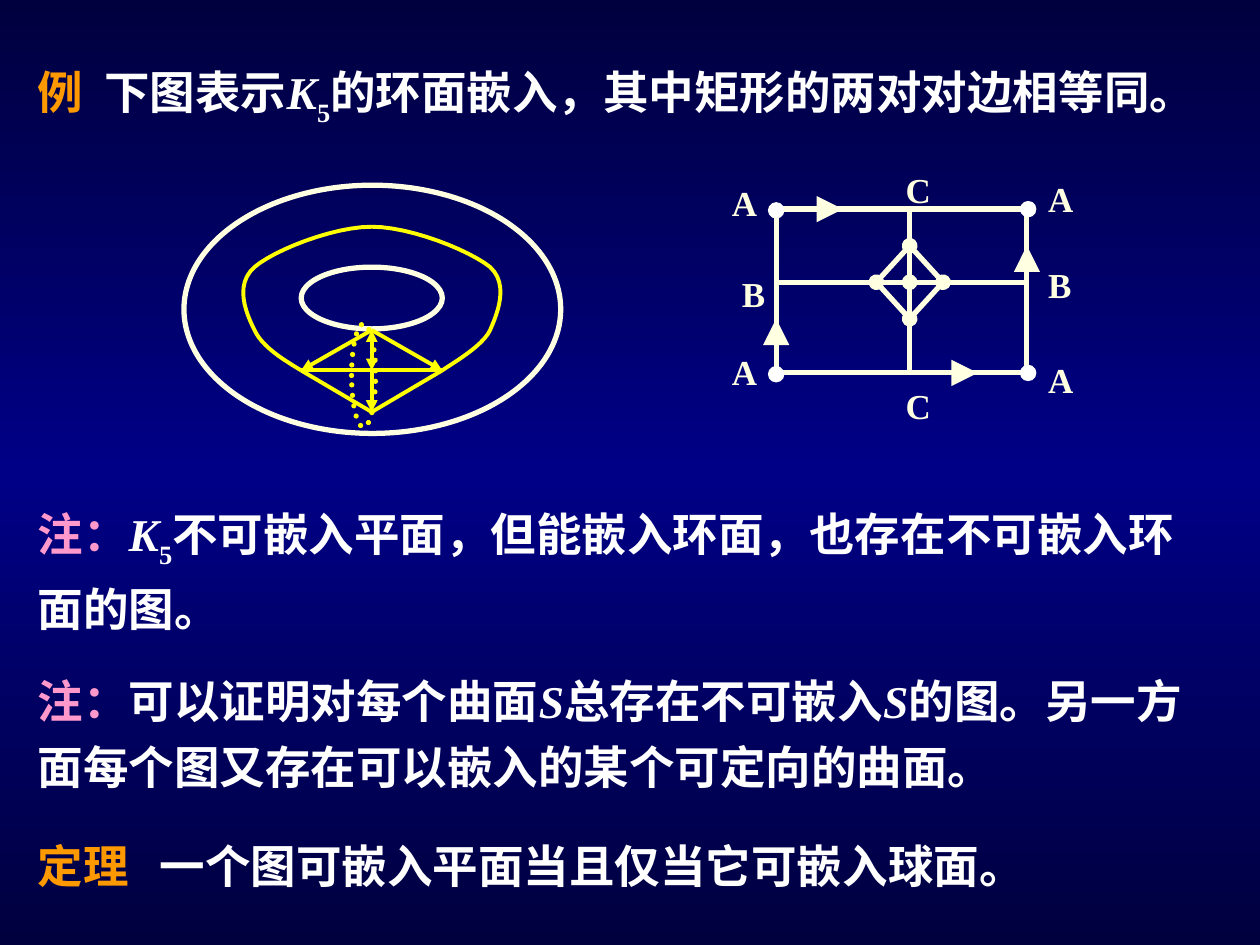
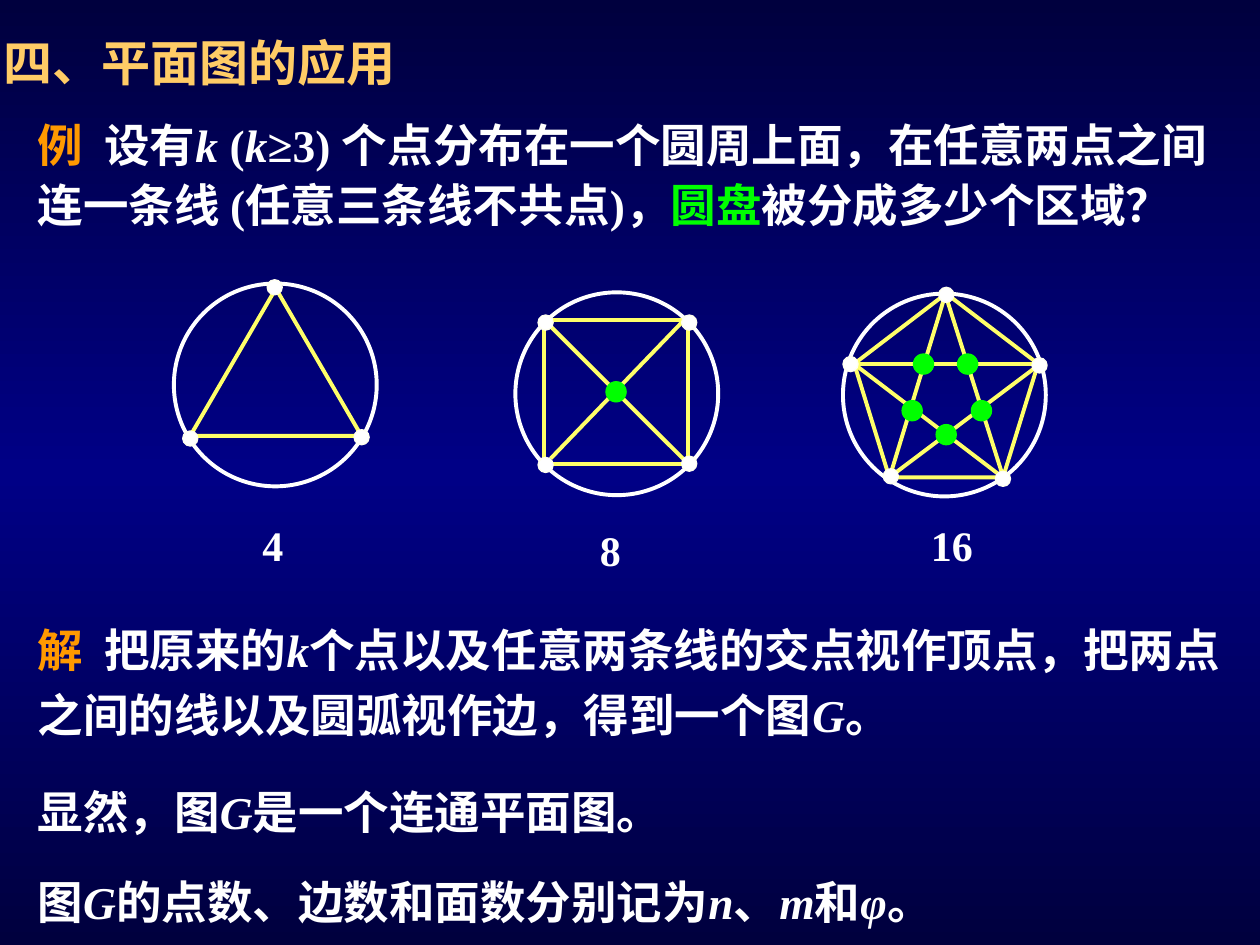
import copy
import pptx
import pptx.util
import pptx.dml.color
import pptx.enum.dml
import pptx.enum.shapes
import pptx.enum.text
import pptx.oxml.ns
from lxml import etree

IN = pptx.util.Inches
SHAPE = pptx.enum.shapes.MSO_SHAPE
ALIGN = pptx.enum.text.PP_ALIGN
WIDTH, HEIGHT = 10, 7.5
LEFT = 0.02 * WIDTH

COLORS = {
    "edge": "00003E", "middle": "000086", "white": "FFFFFF", "cream": "FFFFE1",
    "ivory": "FFFFEE", "yellow": "FFFF00", "chord": "FFFF69", "green": "00FF00",
    "orange": "FF9900", "pink": "FF99CC", "gold": "FFCC66",
}
BASE = {"name": "Times New Roman", "size": 26, "bold": True, "color": "white"}
STYLES = {
    "plain": {},
    "lead": {"color": "orange"},
    "note": {"color": "pink"},
    "mark": {"color": "green"},
    "var": {"italic": True},
    "sub": {"baseline": -28},
    "title": {"name": "Arial", "size": 28, "color": "gold"},
    "vertex": {"size": 20, "color": "cream"},
    "count": {"size": 24},
}

TORUS_TEXTS = [
    (0.36, 9.61, 1.21, 1.2, 0.53, [
        ("例\t", "lead"), ("下图表示", "plain"), ("K", "var"), ("5", "sub"),
        ("的环面嵌入，其中矩形的两对对边相等同。", "plain")]),
    (3.87, 9.53, 1.24, 1.2, None, [
        ("注：", "note"), ("K", "var"), ("5", "sub"),
        ("不可嵌入平面，但能嵌入环面，也存在不可嵌入环面的图。", "plain")]),
    (5.21, 9.45, 1.14, 1.2, None, [
        ("注：", "note"), ("可以证明对每个曲面", "plain"), ("S", "var"),
        ("总存在不可嵌入", "plain"), ("S", "var"),
        ("的图。另一方面每个图又存在可以嵌入的某个可定向的曲面。", "plain")]),
    (6.6, 9.53, 0.54, 1, 0.97, [
        ("定理\t", "lead"), ("一个图可嵌入平面当且仅当它可嵌入球面。", "plain")]),
]
DISK_TEXTS = [
    (0.84, 9.61, 1.53, 1.1, 0.53, [
        ("例\t", "lead"), ("设有", "plain"), ("k ", "var"), ("(", "plain"), ("k", "var"),
        ("≥3) 个点分布在一个圆周上面，在任意两点之间连一条线 (任意三条线不共点)，", "plain"),
        ("圆盘", "mark"), ("被分成多少个区域？", "plain")]),
    (4.8, 9.61, 1.14, 1.2, 0.53, [
        ("解\t", "lead"), ("把原来的", "plain"), ("k", "var"),
        ("个点以及任意两条线的交点视作顶点，把两点之间的线以及圆弧视作边，得到一个图", "plain"),
        ("G", "var"), ("。", "plain")]),
    (6.09, 8.98, 0.62, 1.2, None, [
        ("显然，图", "plain"), ("G", "var"), ("是一个连通平面图。", "plain")]),
    (6.8, 8.98, 0.62, 1.2, None, [
        ("图", "plain"), ("G", "var"), ("的点数、边数和面数分别记为", "plain"),
        ("n", "var"), ("、", "plain"), ("m", "var"), ("和", "plain"),
        ("φ", "var"), ("。", "plain")]),
]

TORUS_RINGS = [(1.46, 1.47, 2.99, 1.97), (2.39, 2.12, 1.12, 0.49)]
TORUS_LOOP = (2.79, 2.57, 0.19, 0.82)
K5_NODES = {"top": (2.95, 2.62), "left": (2.39, 2.94), "right": (3.51, 2.94),
            "centre": (2.95, 2.94), "bottom": (2.95, 3.27)}
K5_EDGES = [
    ("centre", "bottom", None, "triangle"), ("top", "right", None, "triangle"),
    ("bottom", "right", None, None), ("left", "top", "triangle", None),
    ("left", "bottom", None, None), ("top", "centre", "triangle", "triangle"),
    ("left", "right", None, None),
]
OUTER_START = (2.39, 2.94)
OUTER_CURVES = [
    ((2.24, 2.85), (2.08, 2.75), (2.02, 2.62)),
    ((1.95, 2.48), (1.86, 2.26), (2.02, 2.12)),
    ((2.17, 1.99), (2.64, 1.8), (2.95, 1.8)),
    ((3.26, 1.8), (3.73, 1.99), (3.89, 2.12)),
    ((4.04, 2.26), (3.95, 2.48), (3.89, 2.62)),
    ((3.83, 2.75), (3.58, 2.89), (3.51, 2.94)),
]

X0, X1, Y0, Y1 = 6.16, 8.15, 1.66, 2.96
CX, CY, DX, DY = 7.22, 2.24, 0.265, 0.29
N, S, W, E = (CX, CY - DY), (CX, CY + DY), (CX - DX, CY), (CX + DX, CY)
SQUARE_EDGES = [
    ((X0, CY), (X1, CY), None, None), (N, W, "oval", "oval"), (E, S, "oval", "oval"),
    (W, S, None, None), (N, E, None, None),
    ((CX, Y0), (CX, CY), None, "oval"), ((CX, CY), (CX, Y1), None, None),
]
SIDE_ARROWS = [((6.56, Y0), (6.69, Y0)), ((X0, 2.67), (X0, 2.53)),
               ((X1, 2.1), (X1, 1.95)), ((7.62, Y1), (7.76, Y1))]
SQUARE_LABELS = [("A", 5.71, 1.39), ("A", 8.22, 1.36), ("A", 8.22, 2.8), ("A", 5.71, 2.73),
                 ("C", 7.09, 3), ("C", 7.09, 1.29), ("B", 8.22, 2.04), ("B", 5.79, 2.11)]
CORNERS = [(6.16, 1.67), (6.16, 2.97), (8.16, 1.66), (8.16, 2.96)]

DISK_SIZE = 1.61
DISKS = [
    {"at": (1.38, 2.25), "polygon": (SHAPE.ISOSCELES_TRIANGLE, (1.51, 2.29, 1.36, 1.17)),
     "chords": [], "points": [(2.87, 3.47), (1.51, 3.48), (2.18, 2.28)],
     "crossings": [], "count": ("4", 1.93, 3.99, 0.47)},
    {"at": (4.09, 2.32), "polygon": (SHAPE.RECTANGLE, (4.32, 2.54, 1.14, 1.14)),
     "chords": [((4.32, 2.54), (5.46, 3.68)), ((5.41, 2.56), (4.37, 3.64))],
     "points": [(5.47, 3.68), (4.33, 3.69), (4.33, 2.56), (5.47, 2.56)],
     "crossings": [(4.89, 3.11)], "count": ("8", 4.61, 4.03, 0.47)},
    {"at": (6.69, 2.33), "polygon": (SHAPE.REGULAR_PENTAGON, (6.78, 2.33, 1.46, 1.46)),
     "chords": [((7.49, 2.38), (7.06, 3.79)), ((7.52, 2.39), (7.96, 3.78)),
                ((6.78, 2.89), (8.24, 2.89)), ((8.24, 2.9), (7.11, 3.75)),
                ((6.78, 2.89), (7.96, 3.79))],
     "points": [(7.96, 3.8), (7.07, 3.78), (6.75, 2.89), (8.25, 2.9), (7.51, 2.34)],
     "crossings": [(7.33, 2.89), (7.68, 2.89), (7.79, 3.26), (7.51, 3.45), (7.24, 3.26)],
     "count": ("16", 7.28, 3.99, 0.55)},
]


def rgb(name):
    return pptx.dml.color.RGBColor.from_string(COLORS[name])


def paint_background(master):
    fill = master.background.fill
    fill.gradient()
    fill.gradient_angle = 90
    stops = master._element.xpath("./p:cSld/p:bg//a:gsLst")[0]
    middle = copy.deepcopy(stops[0])
    middle.set("pos", "50000")
    stops.insert(1, middle)
    for stop, name in zip(fill.gradient_stops, ("edge", "middle", "edge")):
        stop.color.rgb = rgb(name)


def add_run(p, text, style):
    r = p.add_run()
    r.text = text
    fmt = {**BASE, **STYLES[style]}
    r.font.color.rgb = rgb(fmt.pop("color"))
    baseline = fmt.pop("baseline", None)
    if baseline:
        r._r.get_or_add_rPr().set("baseline", str(baseline * 1000))
    fmt["size"] = pptx.util.Pt(fmt["size"])
    for key, value in fmt.items():
        setattr(r.font, key, value)


def add_text(s, box, runs, wrap=True, tab=None, **paragraph):
    tf = s.shapes.add_textbox(*map(IN, box)).text_frame
    tf.word_wrap = wrap
    tf.auto_size = pptx.enum.text.MSO_AUTO_SIZE.SHAPE_TO_FIT_TEXT
    p = tf.paragraphs[0]
    for key, value in paragraph.items():
        setattr(p, key, value)
    if tab:
        tabs = etree.SubElement(p._p.get_or_add_pPr(), pptx.oxml.ns.qn("a:tabLst"))
        etree.SubElement(tabs, pptx.oxml.ns.qn("a:tab"), pos=str(IN(tab)), algn="l")
    for text, style in runs:
        add_run(p, text, style)


def add_body(s, texts):
    for top, width, height, spacing, tab, runs in texts:
        add_text(s, (LEFT, top, width, height), runs, tab=tab, line_spacing=spacing)


def set_line(sp, color, width):
    sp.line.color.rgb = rgb(color)
    sp.line.width = pptx.util.Pt(width)


def outline(sp, color, width, fill=None):
    sp.shadow.inherit = False
    if fill:
        sp.fill.solid()
        sp.fill.fore_color.rgb = rgb(fill)
    else:
        sp.fill.background()
    set_line(sp, color, width)
    return sp


def add_shape(s, kind, box, color, width, fill=None):
    return outline(s.shapes.add_shape(kind, *map(IN, box)), color, width, fill)


def add_dot(s, centre, size, fill, color):
    x, y = centre
    add_shape(s, SHAPE.OVAL, (x - size / 2, y - size / 2, size, size), color, 0.75, fill)


def add_line(s, start, end, color, width, head=None, tail=None, size="med"):
    sp = s.shapes.add_connector(pptx.enum.shapes.MSO_CONNECTOR.STRAIGHT,
                                *map(IN, (*start, *end)))
    set_line(sp, color, width)
    for tag, kind in (("a:headEnd", head), ("a:tailEnd", tail)):
        if kind:
            etree.SubElement(sp.line._get_or_add_ln(), pptx.oxml.ns.qn(tag),
                             type=kind, w=size, len=size)
    etree.SubElement(sp._element.spPr, pptx.oxml.ns.qn("a:effectLst"))


def curve_points(start, curves, steps=12):
    for a, b, end in curves:
        for i in range(1, steps + 1):
            t = i / steps
            u = 1 - t
            yield tuple(IN(u**3 * p0 + 3 * u * u * t * p1 + 3 * u * t * t * p2 + t**3 * p3)
                        for p0, p1, p2, p3 in zip(start, a, b, end))
        start = end


def draw_torus(s):
    for box in TORUS_RINGS:
        add_shape(s, SHAPE.OVAL, box, "cream", 3)
    loop = add_shape(s, SHAPE.OVAL, TORUS_LOOP, "yellow", 3)
    loop.line.dash_style = pptx.enum.dml.MSO_LINE.ROUND_DOT
    loop.line._get_or_add_ln().set("cap", "rnd")
    for start, end, head, tail in K5_EDGES:
        add_line(s, K5_NODES[start], K5_NODES[end], "yellow", 2.25, head, tail)
    builder = s.shapes.build_freeform(*map(IN, OUTER_START))
    builder.add_line_segments(list(curve_points(OUTER_START, OUTER_CURVES)), close=False)
    outline(builder.convert_to_shape(), "yellow", 2.25)


def draw_square(s):
    add_shape(s, SHAPE.RECTANGLE, (X0, Y0, X1 - X0, Y1 - Y0), "cream", 3)
    for start, end, head, tail in SQUARE_EDGES:
        add_line(s, start, end, "cream", 3, head, tail)
    for start, end in SIDE_ARROWS:
        add_line(s, start, end, "cream", 3, tail="triangle", size="lg")
    for text, x, y in SQUARE_LABELS:
        add_text(s, (x, y, 0.4, 0.44), [(text, "vertex")], wrap=False)
    for corner in CORNERS:
        add_dot(s, corner, 0.12, "white", "white")


def draw_disk(s, disk):
    kind, box = disk["polygon"]
    add_shape(s, kind, box, "chord", 2.25)
    for start, end in disk["chords"]:
        add_line(s, start, end, "chord", 2.25)
    add_shape(s, SHAPE.OVAL, (*disk["at"], DISK_SIZE, DISK_SIZE), "white", 2.25)
    for point in disk["points"]:
        add_dot(s, point, 0.12, "white", "ivory")
    for point in disk["crossings"]:
        add_dot(s, point, 0.16, "green", "green")
    text, x, y, width = disk["count"]
    add_text(s, (x, y, width, 0.58), [(text, "count")],
             alignment=ALIGN.CENTER, line_spacing=1.2)


def main():
    prs = pptx.Presentation()
    prs.slide_width, prs.slide_height = IN(WIDTH), IN(HEIGHT)
    paint_background(prs.slide_master)
    torus, disks = (prs.slides.add_slide(prs.slide_layouts[6]) for _ in range(2))

    draw_torus(torus)
    add_body(torus, TORUS_TEXTS)
    draw_square(torus)

    add_body(disks, DISK_TEXTS)
    for disk in DISKS:
        draw_disk(disks, disk)
    add_text(disks, (-0.07, 0.21, 4.28, 0.57), [("四、平面图的应用", "title")], wrap=False)
    prs.save("out.pptx")


if __name__ == "__main__":
    main()
